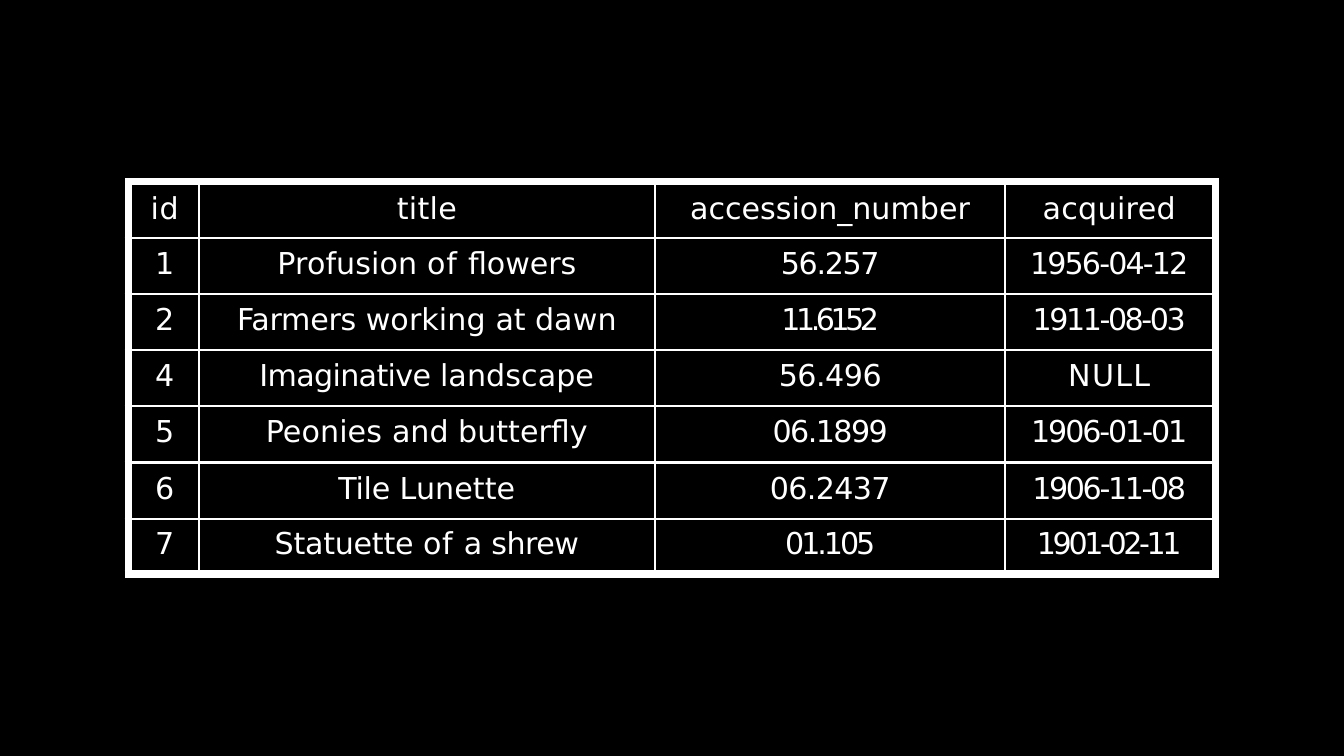
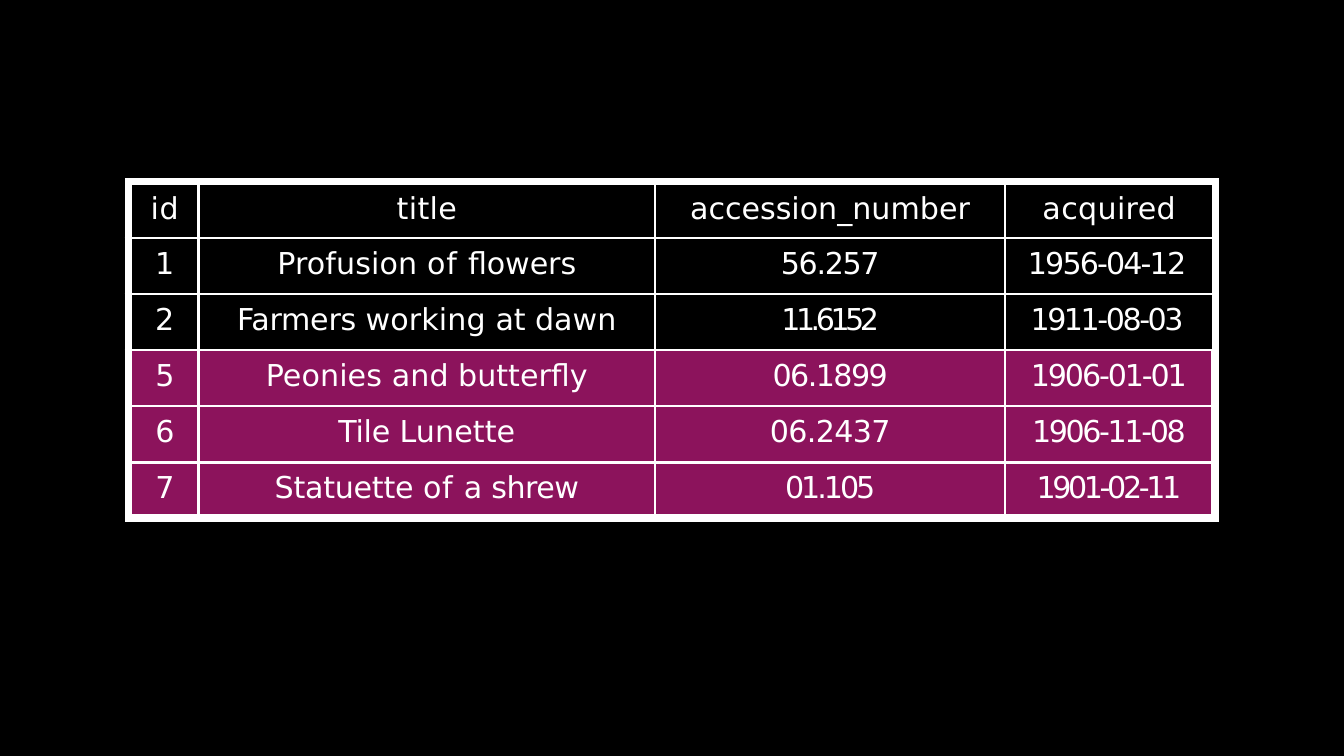
from lxml import etree
from pptx import Presentation
from pptx.dml.color import RGBColor
from pptx.enum import shapes, text
from pptx.oxml.ns import qn
from pptx.util import Inches, Pt

# Content: each cell is a list of (words, letter spacing in points)
HEADER = [[("id", 1)], [("title", 0.4)], [("accession_number", 0)], [("acquired", 0.4)]]
ARTWORKS = {
    1: [[("Profusion ", 0.1), ("of ", 0.9), ("flowers", -0.1)],
        [("56.257", -1.6)], [("1956-04-12", -2.2)]],
    2: [[("Farmers ", -0.3), ("working ", 0.1), ("at ", -0.3), ("dawn", 0.1)],
        [("11.6152", -5.3)], [("1911-08-03", -2.9)]],
    4: [[("Imaginative ", -0.8), ("landscape", 0.1)],
        [("56.496", -0.6)], [("NULL", 1.6)]],
    5: [[("Peonies ", 0.1), ("and butterfly", 0)],
        [("06.1899", -1.8)], [("1906-01-01", -2.5)]],
    6: [[("Tile ", -0.3), ("Lunette", 0.1)],
        [("06.2437", -0.8)], [("1906-11-08", -2.8)]],
    7: [[("Statuette ", -0.3), ("of ", 0.9), ("a ", -0.8), ("shrew", -0.6)],
        [("01.105", -3.6)], [("1901-02-11", -4)]],
}
SLIDES = [
    {"ids": [1, 2, 4, 5, 6, 7], "marked": [], "date_inset": 0.1},
    {"ids": [1, 2, 5, 6, 7], "marked": [5, 6, 7], "date_inset": 0.17},
]

# Shared look
BLACK = RGBColor(0x00, 0x00, 0x00)
WHITE = RGBColor(0xFF, 0xFF, 0xFF)
PLUM = RGBColor(0x8C, 0x13, 0x5C)
FONT, SIZE = "DejaVu Sans", 35.5
GRID_LINE, FRAME_LINE = 3, 8.25
NO_STYLE = "{2D5ABB26-0587-4C30-8999-92F81FD0307C}"

# Layout in inches
SLIDE_W, SLIDE_H = 21.99, 12.37
TOP, FRAME, INSET = 2.92, 0.11, 0.1
COLUMNS = [1.21, 7.47, 5.73, 3.5]
EDGE_ROW, ROW = 0.86, 0.92
FIRST_GAP, GAP, LAST_GAP = 7.9, 10, 9.2  # points above the text


def fill(cell, color):
    cell.fill.solid()
    cell.fill.fore_color.rgb = color


def write(cell, runs, size=SIZE, color=WHITE, gap=GAP, left=0, right=0):
    cell.margin_left, cell.margin_right = Inches(left), Inches(right)
    cell.margin_top, cell.margin_bottom = Pt(gap), 0
    paragraph = cell.text_frame.paragraphs[0]
    paragraph.alignment = text.PP_ALIGN.CENTER
    paragraph.space_before = Pt(gap)
    for words, spacing in runs:
        run = paragraph.add_run()
        run.text = words
        run.font.name, run.font.size = FONT, Pt(size)
        run.font.color.rgb = color
        run.font._element.set("spc", str(round(spacing * 100)))


def make_blank(cell):
    """White frame cell, with text small enough for the thin rows."""
    cell.margin_left = cell.margin_right = cell.margin_top = cell.margin_bottom = 0
    paragraph = cell.text_frame.paragraphs[0]
    etree.SubElement(paragraph._p, qn("a:endParaRPr"), sz="100")
    fill(cell, WHITE)


def add_borders(cell, sides):
    properties = cell._tc.get_or_add_tcPr()
    for place, side in enumerate(sides):
        line = etree.Element(qn("a:ln" + side), w=str(Pt(GRID_LINE)))
        solid = etree.SubElement(line, qn("a:solidFill"))
        etree.SubElement(solid, qn("a:srgbClr"), val=str(WHITE))
        properties.insert(place, line)


def add_frame_line(slide, x, height):
    line = slide.shapes.add_connector(
        shapes.MSO_CONNECTOR.STRAIGHT,
        Inches(x), Inches(TOP), Inches(x), Inches(TOP + height))
    line.line.color.rgb = WHITE
    line.line.width = Pt(FRAME_LINE)
    etree.SubElement(line._element.spPr, qn("a:effectLst"))


def add_artworks(slide, ids, marked, date_inset):
    rows = [HEADER] + [[[(str(key), 0)]] + ARTWORKS[key] for key in ids]
    heights = [FRAME, EDGE_ROW] + [ROW] * (len(ids) - 1) + [EDGE_ROW, FRAME]
    # Marked rows stand between narrow frame columns
    framed = bool(marked)
    widths = COLUMNS
    if framed:
        widths = [FRAME, COLUMNS[0] - FRAME, *COLUMNS[1:-1], COLUMNS[-1] - FRAME, FRAME]
    width, height = sum(widths), sum(heights)
    left = (SLIDE_W - width) / 2
    table = slide.shapes.add_table(
        len(heights), len(widths),
        Inches(left), Inches(TOP), Inches(width), Inches(height)).table
    table.first_row = table.horz_banding = False
    table._tbl.tblPr.find(qn("a:tableStyleId")).text = NO_STYLE
    for column, size in zip(table.columns, widths):
        column.width = Inches(size)
    for row, size in zip(table.rows, heights):
        row.height = Inches(size)

    # Thin frame rows
    last_row, last_column = len(rows) - 1, len(COLUMNS) - 1
    for r in (0, len(heights) - 1):
        for c in range(len(widths)):
            make_blank(table.cell(r, c))

    # Header and artworks
    for r, row in enumerate(rows):
        is_marked = r > 0 and ids[r - 1] in marked
        gap = FIRST_GAP if r == 0 else LAST_GAP if r == last_row else GAP
        outer = [table.cell(r + 1, c) for c in (0, len(widths) - 1)]
        inner = [table.cell(r + 1, c + framed) for c in range(len(COLUMNS))]
        if is_marked:
            for cell in outer:
                make_blank(cell)
        elif framed:
            outer[0].merge(inner[0])
            inner[-1].merge(outer[1])
            inner[0] = outer[0]
        for c, (cell, runs) in enumerate(zip(inner, row)):
            inset_left = INSET if c == 0 and not is_marked else 0
            inset_right = 0
            if c == last_column and not is_marked:
                inset_right = date_inset if r else INSET
            write(cell, runs, gap=gap, left=inset_left, right=inset_right)
            inside = {"L": c > 0, "R": c < last_column, "T": r > 0, "B": r < last_row}
            add_borders(cell, [side for side, drawn in inside.items() if drawn])
            fill(cell, PLUM if is_marked else BLACK)

    # Thick side lines
    for x in (left + FRAME / 2, left + width - FRAME / 2):
        add_frame_line(slide, x, height)


def main():
    prs = Presentation()
    prs.slide_width, prs.slide_height = Inches(SLIDE_W), Inches(SLIDE_H)
    background = prs.slide_master.background.fill
    background.solid()
    background.fore_color.rgb = BLACK
    for content in SLIDES:
        add_artworks(prs.slides.add_slide(prs.slide_layouts[6]), **content)
    prs.save("out.pptx")


if __name__ == "__main__":
    main()
